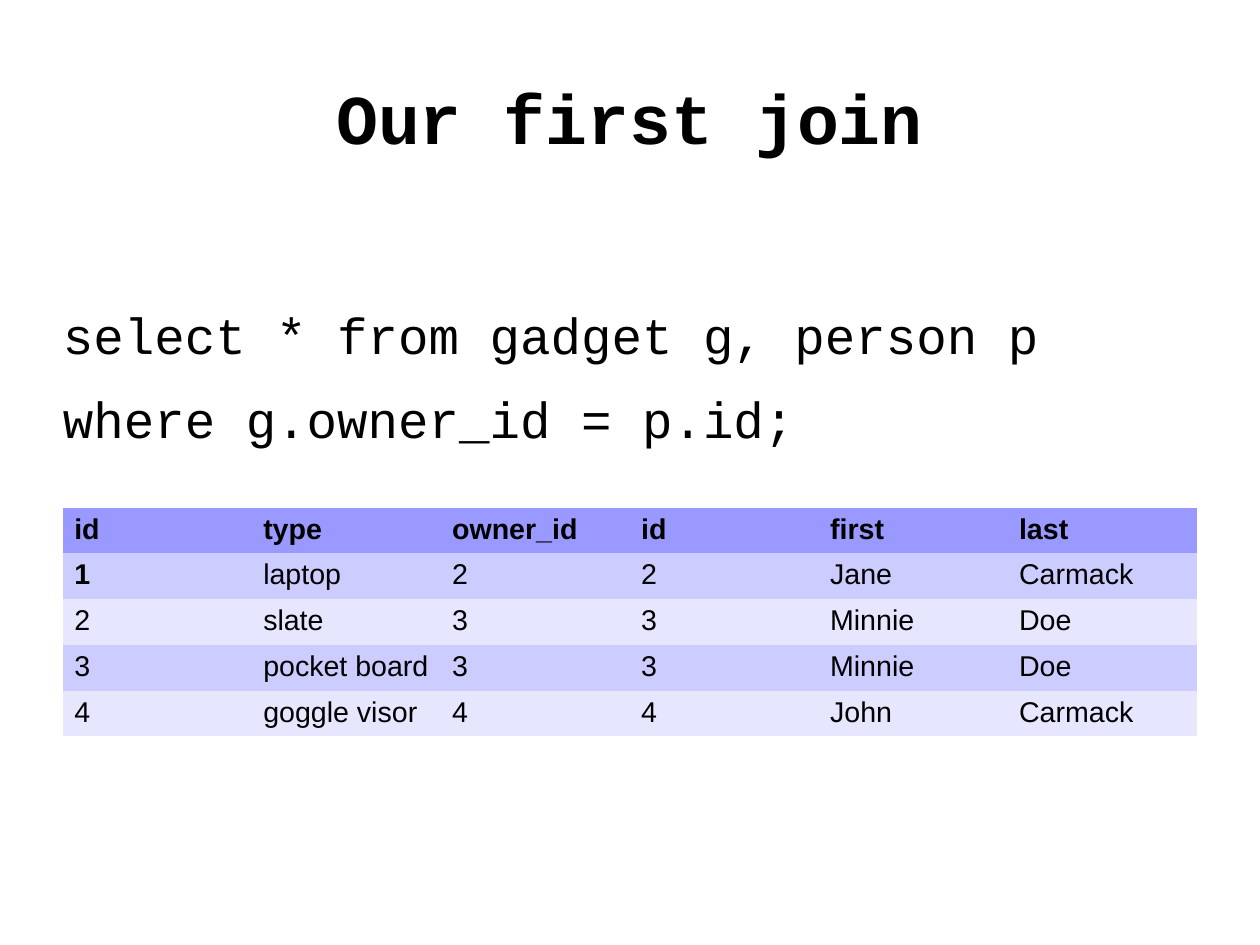
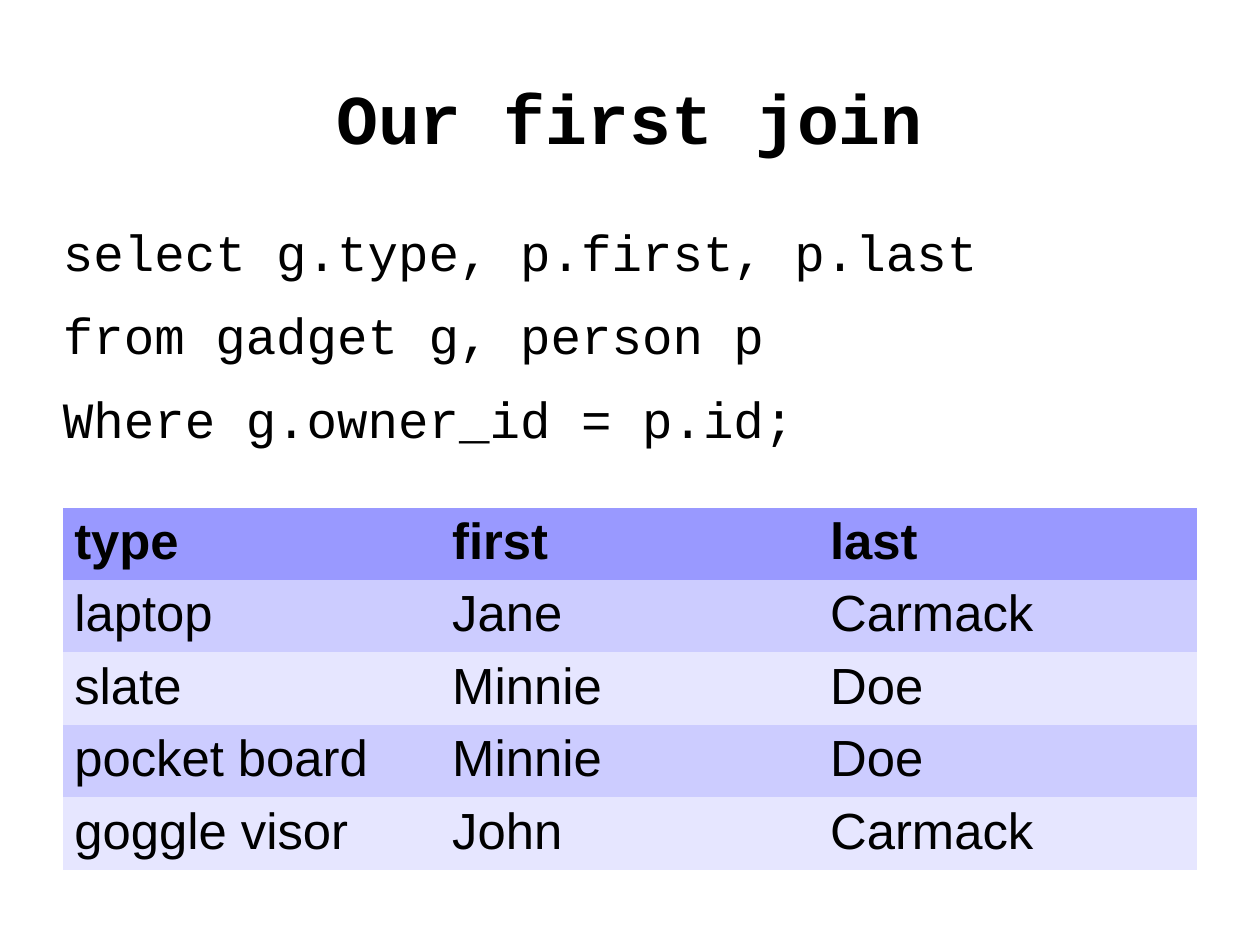
from pptx import Presentation
from pptx.dml.color import RGBColor
from pptx.enum.text import MSO_ANCHOR, PP_ALIGN
from pptx.util import Cm, Inches, Pt

CENTER, LEFT = PP_ALIGN.CENTER, PP_ALIGN.LEFT
MIDDLE, TOP = MSO_ANCHOR.MIDDLE, MSO_ANCHOR.TOP

# The page is metric: 28 by 21 cm.
SLIDE_WIDTH, SLIDE_HEIGHT = Cm(28), Cm(21)
MARGIN, CONTENT_WIDTH = 0.55, 9.92
TITLE_BOX = (MARGIN, 0.33, CONTENT_WIDTH, 1.38)
CODE_BOTTOM, CODE_LINE = 4.12, 0.73
TABLE_TOP = 4.44

CODE_FONT, TABLE_FONT = "Courier New", "Arial"
BLACK, WHITE = "000000", "FFFFFF"
HEADER_FILL = "9999FF"
BAND_FILLS = ("E6E6FF", "CCCCFF")
PLAIN_TABLE_STYLE = "{2D5ABB26-0587-4C30-8999-92F81FD0307C}"

TITLE = "Our first join"


def color(hex_string):
    return RGBColor.from_string(hex_string)


def style(font, name, size, bold=False):
    font.name, font.size, font.bold = name, Pt(size), bold
    font.color.rgb = color(BLACK)


def add_text(slide, box, lines, size, bold=False, align=LEFT, anchor=TOP,
             space_after=0):
    """Write one paragraph per line in a box without insets."""
    frame = slide.shapes.add_textbox(*map(Inches, box)).text_frame
    frame.word_wrap = True
    frame.vertical_anchor = anchor
    frame.margin_left = frame.margin_right = 0
    frame.margin_top = frame.margin_bottom = 0
    frame.text = "\n".join(lines)
    for paragraph in frame.paragraphs:
        paragraph.alignment = align
        paragraph.space_after = Pt(space_after)
        style(paragraph.font, CODE_FONT, size, bold)


def add_query(slide, lines):
    """Write the query so that its last line always sits above the table."""
    height = len(lines) * CODE_LINE
    box = (MARGIN, CODE_BOTTOM - height, CONTENT_WIDTH, height)
    add_text(slide, box, lines, 32, space_after=14.2)


def add_result(slide, rows, size, row_height, bold_cells=()):
    """Add the result table; bold_cells are (row, column) pairs below the header."""
    box = (MARGIN, TABLE_TOP, CONTENT_WIDTH, len(rows) * row_height)
    table = slide.shapes.add_table(len(rows), len(rows[0]),
                                   *map(Inches, box)).table
    table.first_row = table.horz_banding = False
    table._tbl.tblPr.find("{*}tableStyleId").text = PLAIN_TABLE_STYLE
    for row_index, values in enumerate(rows):
        is_header = row_index == 0
        fill = HEADER_FILL if is_header else BAND_FILLS[row_index % 2]
        for column_index, value in enumerate(values):
            cell = table.cell(row_index, column_index)
            cell.fill.solid()
            cell.fill.fore_color.rgb = color(fill)
            cell.text = value
            bold = is_header or (row_index, column_index) in bold_cells
            # Row heights follow the run's font, not the paragraph's.
            run = cell.text_frame.paragraphs[0].runs[0]
            style(run.font, TABLE_FONT, size, bold)


def add_join_slide(presentation, query, rows, size, row_height, bold_cells=()):
    slide = presentation.slides.add_slide(presentation.slide_layouts[6])
    slide.background.fill.solid()
    slide.background.fill.fore_color.rgb = color(WHITE)
    add_text(slide, TITLE_BOX, [TITLE], 44, True, CENTER, MIDDLE)
    add_query(slide, query)
    add_result(slide, rows, size, row_height, bold_cells)


def main():
    presentation = Presentation()
    presentation.slide_width = SLIDE_WIDTH
    presentation.slide_height = SLIDE_HEIGHT

    joined_rows = [
        ("id", "type", "owner_id", "id", "first", "last"),
        ("1", "laptop", "2", "2", "Jane", "Carmack"),
        ("2", "slate", "3", "3", "Minnie", "Doe"),
        ("3", "pocket board", "3", "3", "Minnie", "Doe"),
        ("4", "goggle visor", "4", "4", "John", "Carmack"),
    ]
    add_join_slide(
        presentation,
        ["select * from gadget g, person p", "where g.owner_id = p.id;"],
        joined_rows, 18, 0.39, bold_cells={(1, 0)})

    selected_rows = [(row[1], row[4], row[5]) for row in joined_rows]
    add_join_slide(
        presentation,
        ["select g.type, p.first, p.last", "from gadget g, person p",
         "Where g.owner_id = p.id;"],
        selected_rows, 32, 0.6)

    presentation.save("out.pptx")


if __name__ == "__main__":
    main()
